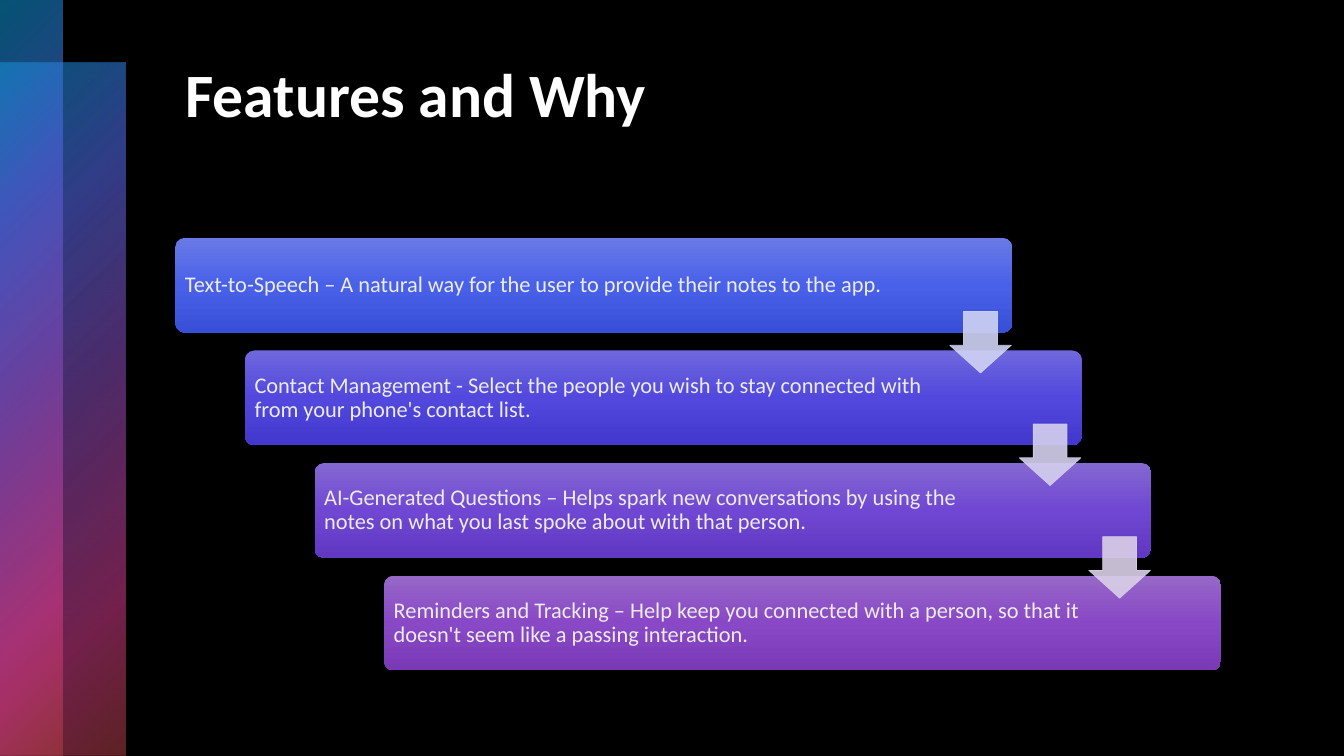
"""Build a slide of four features stepping down to the right."""
from dataclasses import dataclass
from typing import Any, NamedTuple

from lxml import etree
from pptx import Presentation
from pptx.dml.color import RGBColor
from pptx.enum.shapes import MSO_SHAPE
from pptx.enum.text import MSO_ANCHOR, MSO_AUTO_SIZE
from pptx.oxml import parse_xml
from pptx.oxml.ns import nsdecls, qn
from pptx.util import Inches, Pt

RECT, ROUND, DOWN = MSO_SHAPE.RECTANGLE, MSO_SHAPE.ROUNDED_RECTANGLE, MSO_SHAPE.DOWN_ARROW
TOP, MIDDLE = MSO_ANCHOR.TOP, MSO_ANCHOR.MIDDLE
FIXED = MSO_AUTO_SIZE.NONE
WIDE, HIGH = Inches(13.33), Inches(7.5)
COLS, ROWS = 133.3, 75


class Stop(NamedTuple):
    """A gradient stop: place and opacity in percent, and colour."""
    place: int
    color: str
    solid: int = 100


class Box(NamedTuple):
    """A place on the slide in grid columns and rows."""
    left: float
    top: float
    wide: float
    high: float

    def shift(self, cols: float, rows: float) -> "Box":
        """Return the box moved by columns and rows."""
        return self._replace(left=self.left + cols, top=self.top + rows)

    def frame(self) -> tuple[int, ...]:
        """Return left, top, width and height as slide lengths."""
        col, row = WIDE / COLS, HIGH / ROWS
        return (round(self.left * col), round(self.top * row),
                round(self.wide * col), round(self.high * row))


@dataclass(frozen=True)
class Theme:
    """Colours, font and type sizes of the slide."""
    back: str = "000000"
    head: str = "FFFFFF"
    body: str = "ECECEC"
    font: str = "Calibri"
    large: int = 44
    small: int = 16
    glow: tuple[Stop, ...] = (
        Stop(0, "0BA5E8", 50), Stop(25, "5066E1", 60), Stop(50, "894EC0", 55),
        Stop(81, "E54196", 50), Stop(99, "BE4449", 50))


@dataclass(frozen=True)
class Step:
    """One feature: its words, bar shades, text width and arrow colour."""
    text: str
    shades: tuple[str, str, str]
    wide: float
    arrow: str = ""


THEME = Theme()
PANELS = (Box(0, 6.2, 12.4, 68.8), Box(0, 0, 6.2, 75))
TITLE = Box(17.4, 5, 103.7, 17)
BAR = Box(17.4, 23.6, 83, 9.4)
LABEL = Box(17.65, 23.85, 72, 8.9)
ARROW = Box(94.2, 30.9, 6.1, 6.1)
SHIFT = (6.9, 11.17)
LINEAR = '<a:lin ang="5400000" scaled="0"/>'
RADIAL = '<a:path path="circle"><a:fillToRect r="100000" b="100000"/></a:path>'
STEPS = (
    Step("Text-to-Speech – A natural way for the user to provide their notes to the app.",
         ("697AE6", "4961E8", "3850D7"), 72, "D0D3F4"),
    Step("Contact Management - Select the people you wish to stay connected with "
         "from your phone's contact list.",
         ("6F68DC", "5248DE", "4238CD"), 69.4, "D5D0EE"),
    Step("AI-Generated Questions – Helps spark new conversations by using the "
         "notes on what you last spoke about with that person.",
         ("8468D2", "7047D2", "6138C2"), 69.4, "DAD0E8"),
    Step("Reminders and Tracking – Help keep you connected with a person, so that it "
         "doesn't seem like a passing interaction.",
         ("9668C7", "8948C6", "7A3AB6"), 69.4),
)


def apply(part: Any, values: dict[str, Any]) -> None:
    """Set each named value on a part."""
    for name, value in values.items():
        setattr(part, name, value)


def write(frame: Any, text: str, look: dict[str, Any], color: str, form: dict[str, Any]) -> None:
    """Put one formatted paragraph in a text frame."""
    apply(frame, {"word_wrap": True, "auto_size": FIXED, **form})
    run = frame.paragraphs[0].add_run()
    run.text = text
    apply(run.font, {"name": THEME.font, **look})
    run.font.color.rgb = RGBColor.from_string(color)


def draw(slide: Any, kind: Any, box: Box, bends: tuple[float, ...] = ()) -> Any:
    """Add a plain shape without fill, line or shadow."""
    shape = slide.shapes.add_shape(kind, *box.frame())
    shape.shadow.inherit = False
    shape.fill.background()
    shape.line.fill.background()
    for spot, bend in enumerate(bends):
        shape.adjustments[spot] = bend
    return shape


def blend(shape: Any, stops: tuple[Stop, ...], course: str) -> None:
    """Fill a shape with a gradient."""
    marks = "".join(
        f'<a:gs pos="{stop.place * 1000}"><a:srgbClr val="{stop.color}">'
        f'<a:alpha val="{stop.solid * 1000}"/></a:srgbClr></a:gs>' for stop in stops)
    props = shape._element.spPr
    grad = parse_xml(f'<a:gradFill {nsdecls("a")} rotWithShape="1">'
                     f'<a:gsLst>{marks}</a:gsLst>{course}</a:gradFill>')
    props.replace(props.find(qn("a:noFill")), grad)


def point(slide: Any, box: Box, color: str) -> None:
    """Add a slightly clear arrow that points down."""
    arrow = draw(slide, DOWN, box, (0.55, 0.45))
    for fill in (arrow.fill, arrow.line.fill):
        fill.solid()
        fill.fore_color.rgb = RGBColor.from_string(color)
    arrow.line.width = Pt(0.5)
    for tint in arrow._element.spPr.iter(qn("a:srgbClr")):
        etree.SubElement(tint, qn("a:alpha"), val="90000")


def stair(slide: Any, spot: int, step: Step) -> None:
    """Add the bar and the text of one feature."""
    move = (SHIFT[0] * spot, SHIFT[1] * spot)
    bar = draw(slide, ROUND, BAR.shift(*move), (0.1,))
    blend(bar, tuple(Stop(50 * rank, shade) for rank, shade in enumerate(step.shades)), LINEAR)
    place = LABEL.shift(*move)._replace(wide=step.wide)
    frame = slide.shapes.add_textbox(*place.frame()).text_frame
    inset = Inches(0.07)
    form = {"vertical_anchor": MIDDLE, "margin_left": inset, "margin_right": inset,
            "margin_top": inset, "margin_bottom": inset}
    write(frame, step.text, {"size": Pt(THEME.small)}, THEME.body, form)
    frame.paragraphs[0].line_spacing = 0.9


def main() -> None:
    """Build and save the slide."""
    deck = Presentation()
    apply(deck, {"slide_width": WIDE, "slide_height": HIGH})
    slide = deck.slides.add_slide(deck.slide_layouts.get_by_name("Title Only"))
    slide.background.fill.solid()
    slide.background.fill.fore_color.rgb = RGBColor.from_string(THEME.back)
    for panel in PANELS:
        blend(draw(slide, RECT, panel), THEME.glow, RADIAL)
    title = slide.shapes.title
    apply(title, dict(zip(("left", "top", "width", "height"), TITLE.frame())))
    write(title.text_frame, "Features and Why", {"size": Pt(THEME.large), "bold": True},
          THEME.head, {"vertical_anchor": TOP})
    title.text_frame.paragraphs[0].alignment = 1
    for spot, step in enumerate(STEPS):
        stair(slide, spot, step)
    for spot, step in enumerate(STEPS[:-1]):
        point(slide, ARROW.shift(SHIFT[0] * spot, SHIFT[1] * spot), step.arrow)
    deck.save("out.pptx")


if __name__ == "__main__":
    main()
